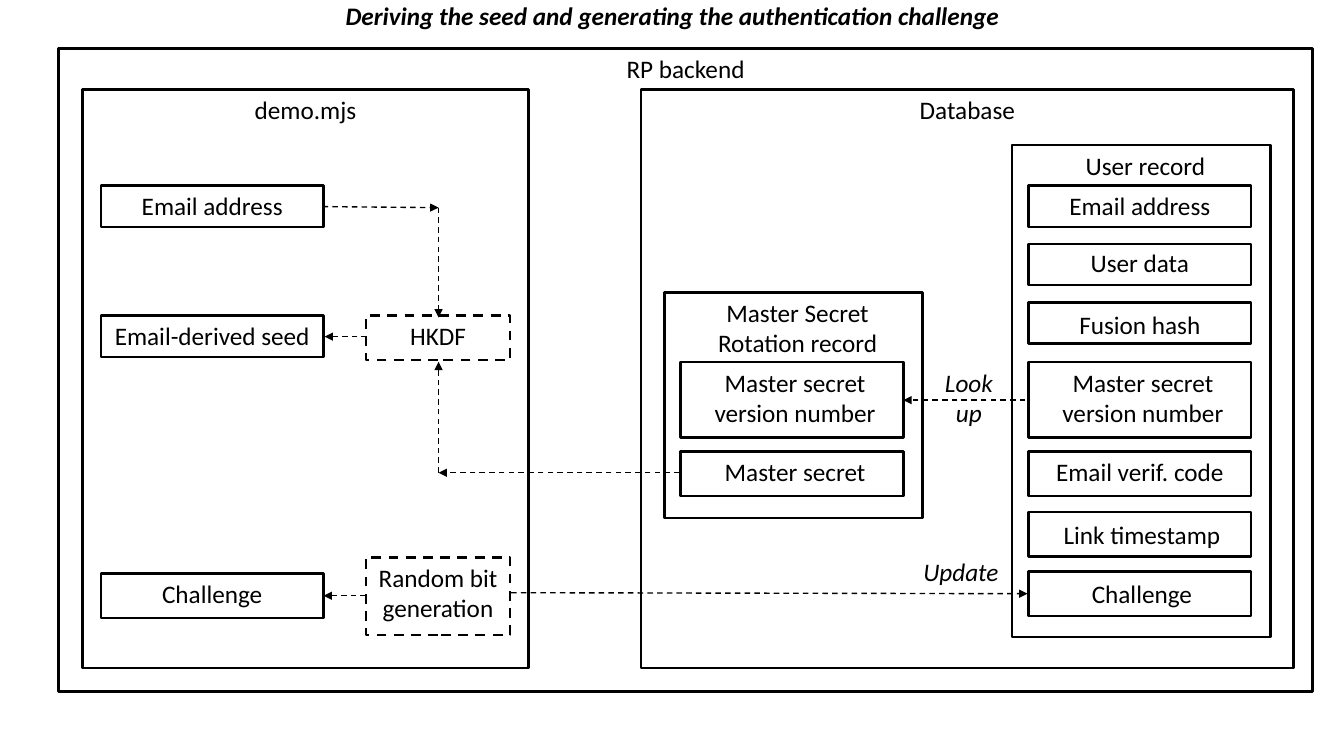
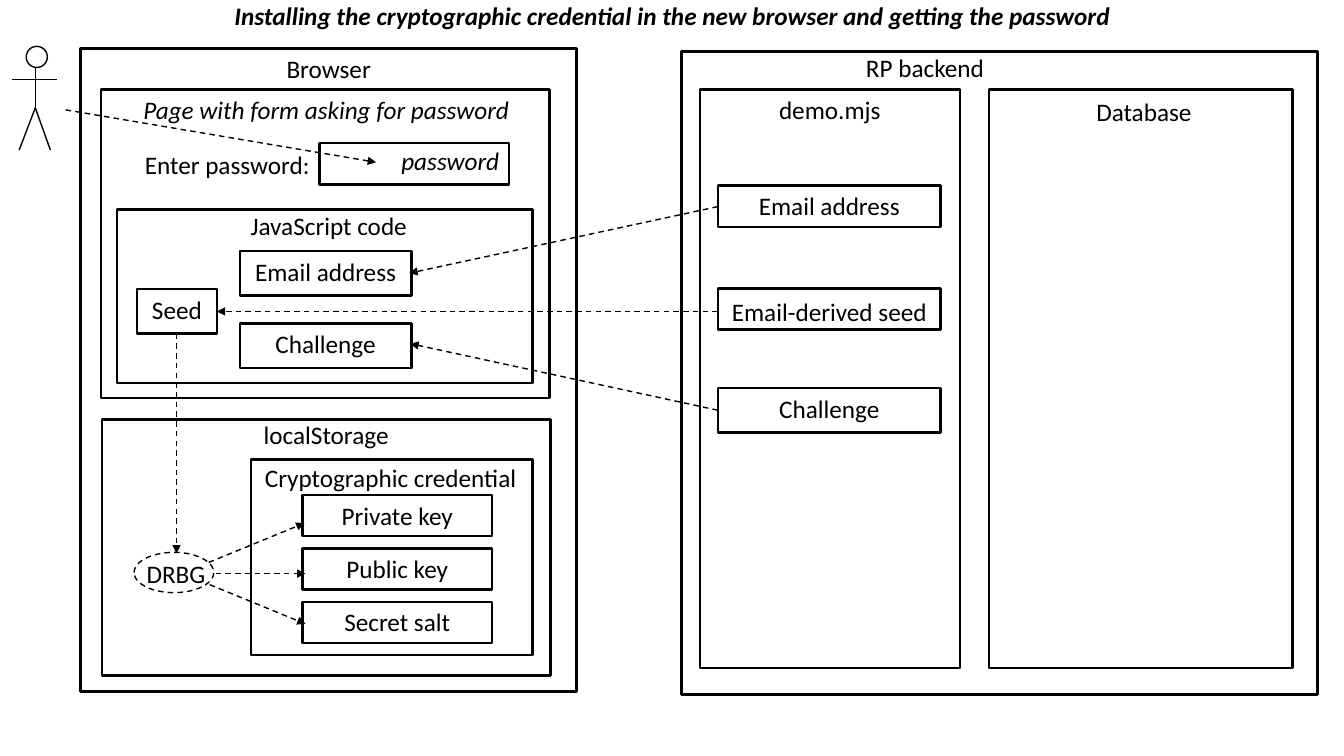
import dataclasses
import typing

import lxml.etree
import pptx
import pptx.dml.color
import pptx.enum.dml
import pptx.enum.shapes
import pptx.enum.text
import pptx.oxml.ns
import pptx.shapes.connector
import pptx.shapes.shapetree
import pptx.slide
import pptx.text.text
import pptx.util

Inches = pptx.util.Inches
Pt = pptx.util.Pt
ALIGN = pptx.enum.text.PP_ALIGN
ANCHOR = pptx.enum.text.MSO_ANCHOR
SHAPE = pptx.enum.shapes.MSO_SHAPE
DASH = pptx.enum.dml.MSO_LINE.DASH
qn = pptx.oxml.ns.qn

BLACK = pptx.dml.color.RGBColor(0x00, 0x00, 0x00)
WHITE = pptx.dml.color.RGBColor(0xFF, 0xFF, 0xFF)
FONT = "Calibri"
TEXT_SIZE = 18
BOX_LINE = 1.75
THIN_LINE = 1
SIDE_INSET = 0.1
TOP_INSET = 0.05

FIELD_WIDTH = 2.21
FIELD = 0.41
TALL_FIELD = 0.44
DOUBLE_FIELD = 0.75
PANEL_TOP = 0.89
PANEL_HEIGHT = 5.74
FRAME_HEIGHT = 6.38

Shapes = typing.Union[pptx.shapes.shapetree.SlideShapes,
                      pptx.shapes.shapetree.GroupShapes]


@dataclasses.dataclass(frozen=True)
class Box:
    """An outlined box; shift and drop move its label from top centre."""
    left: float
    top: float
    width: float
    height: float
    label: str
    shift: float = 0
    drop: float = 0
    italic: bool = False
    align: ALIGN = ALIGN.CENTER
    dashed: bool = False
    oval: bool = False


class Caption(typing.NamedTuple):
    left: float
    top: float
    width: float
    height: float
    label: str
    italic: bool = False
    align: ALIGN = ALIGN.CENTER


class Arrow(typing.NamedTuple):
    x1: float
    y1: float
    x2: float
    y2: float


class Diagram(typing.NamedTuple):
    title: str
    boxes: list[Box]
    captions: list[Caption]
    arrows: list[Arrow]


def write(frame: pptx.text.text.TextFrame, text: str, *, bold: bool = False,
          italic: bool = False, align: ALIGN = ALIGN.CENTER,
          anchor: ANCHOR = ANCHOR.TOP, spacing: float = 1.0,
          wrap: bool = True) -> None:
    frame.word_wrap = wrap
    frame.vertical_anchor = anchor
    paragraph = frame.paragraphs[0]
    paragraph.alignment = align
    paragraph.line_spacing = spacing
    run = paragraph.add_run()
    run.text = text
    run.font.name = FONT
    run.font.size = Pt(TEXT_SIZE)
    run.font.bold = bold
    run.font.italic = italic
    run.font.color.rgb = BLACK


def draw_title(shapes: Shapes, title: str) -> None:
    frame = shapes.add_textbox(Inches(0.92), Inches(0), Inches(11.5),
                               Inches(0.35)).text_frame
    frame.margin_top = frame.margin_bottom = 0
    write(frame, title, bold=True, italic=True, anchor=ANCHOR.MIDDLE,
          spacing=0.9)


def draw_box(shapes: Shapes, box: Box) -> None:
    outline = shapes.add_shape(
        SHAPE.OVAL if box.oval else SHAPE.RECTANGLE, Inches(box.left),
        Inches(box.top), Inches(box.width), Inches(box.height))
    outline.shadow.inherit = False
    outline.fill.background()
    outline.line.color.rgb = BLACK
    outline.line.width = Pt(THIN_LINE if box.oval else BOX_LINE)
    if box.dashed:
        outline.line.dash_style = DASH
    frame = outline.text_frame
    frame.margin_left = Inches(SIDE_INSET + max(0, 2 * box.shift))
    frame.margin_right = Inches(SIDE_INSET + max(0, -2 * box.shift))
    frame.margin_top = Inches(TOP_INSET + box.drop)
    frame.margin_bottom = 0
    write(frame, box.label, italic=box.italic, align=box.align,
          wrap=not box.oval)


def draw_caption(shapes: Shapes, caption: Caption) -> None:
    area = shapes.add_textbox(Inches(caption.left), Inches(caption.top),
                              Inches(caption.width), Inches(caption.height))
    write(area.text_frame, caption.label, italic=caption.italic,
          align=caption.align)


def draw_line(shapes: Shapes, x1: float, y1: float, x2: float,
              y2: float) -> pptx.shapes.connector.Connector:
    line = shapes.add_connector(
        pptx.enum.shapes.MSO_CONNECTOR.STRAIGHT,
        Inches(x1), Inches(y1), Inches(x2), Inches(y2))
    line.line.color.rgb = BLACK
    line.line.width = Pt(THIN_LINE)
    lxml.etree.SubElement(line._element.spPr, qn("a:effectLst"))
    return line


def draw_arrow(shapes: Shapes, arrow: Arrow) -> None:
    line = draw_line(shapes, *arrow)
    line.line.dash_style = DASH
    outline = line._element.spPr.find(qn("a:ln"))
    lxml.etree.SubElement(outline, qn("a:tailEnd"), type="triangle")


def draw_user(shapes: Shapes) -> None:
    """Draw the stick figure who enters the password."""
    figure = shapes.add_group_shape().shapes
    spine = 0.35
    for limb in ((spine, 0.63, spine, 1.08), (spine, 1.07, 0.19, 1.49),
                 (spine, 1.07, 0.5, 1.49), (0.12, 0.79, 0.57, 0.79)):
        draw_line(figure, *limb)
    head = figure.add_shape(SHAPE.OVAL, Inches(0.26), Inches(0.46),
                            Inches(0.21), Inches(0.21))
    head.shadow.inherit = False
    head.fill.solid()
    head.fill.fore_color.rgb = WHITE
    head.line.color.rgb = BLACK
    head.line.width = Pt(THIN_LINE)


def panel(left: float, width: float, label: str, **label_format) -> Box:
    """A full-height component inside a frame."""
    return Box(left, PANEL_TOP, width, PANEL_HEIGHT, label, **label_format)


def field(left: float, top: float, height: float, label: str,
          **label_format) -> Box:
    return Box(left, top, FIELD_WIDTH, height, label, **label_format)


def challenge_diagram() -> Diagram:
    server, rotation, user = 1, 6.75, 10.2
    hkdf_x = 4.35
    boxes = [
        Box(0.58, 0.48, 12.44, FRAME_HEIGHT, "RP backend"),
        panel(0.82, 4.42, "demo.mjs"),
        panel(6.36, 6.47, "Database"),
        field(server, 1.84, FIELD, "Email address"),
        field(server, 3.13, FIELD, "Email-derived seed"),
        field(server, 5.69, TALL_FIELD, "Challenge"),
        Box(3.63, 3.13, 1.43, 0.44, "HKDF", dashed=True),
        Box(3.63, 5.53, 1.43, 0.77, "Random bit generation", dashed=True),
        Box(6.59, 2.9, 2.56, 2.24, "Master Secret Rotation record",
            shift=0.04),
        field(rotation, 3.59, DOUBLE_FIELD, "Master secret version number",
              shift=0.03),
        field(rotation, 4.48, TALL_FIELD, "Master secret", shift=0.03),
        Box(10.04, 1.44, 2.56, 4.88, "User record", shift=0.04),
        field(user, 1.84, FIELD, "Email address"),
        field(user, 2.42, FIELD, "User data", drop=-0.02),
        field(user, 3, FIELD, "Fusion hash", drop=0.02),
        field(user, 3.59, DOUBLE_FIELD, "Master secret version number",
              shift=0.03),
        field(user, 4.48, TALL_FIELD, "Email verif. code"),
        field(user, 5.08, TALL_FIELD, "Link timestamp", shift=0.02,
              drop=0.02),
        field(user, 5.67, TALL_FIELD, "Challenge", shift=0.02, drop=0.02),
    ]
    captions = [
        Caption(9.2, 3.59, 0.82, 0.71, "Look up", italic=True),
        Caption(8.67, 5.47, 1.72, 0.4, "Update", italic=True),
    ]
    arrows = [
        Arrow(3.2, 2.05, hkdf_x, 2.06),
        Arrow(hkdf_x, 2.06, hkdf_x, 3.15),
        Arrow(6.74, 4.69, hkdf_x, 4.69),
        Arrow(hkdf_x, 4.69, hkdf_x, 3.59),
        Arrow(3.64, 3.34, 3.22, 3.34),
        Arrow(10.17, 3.97, 8.96, 3.97),
        Arrow(3.63, 5.91, 3.21, 5.91),
        Arrow(5.07, 5.88, 10.19, 5.89),
    ]
    return Diagram(
        "Deriving the seed and generating the authentication challenge",
        boxes, captions, arrows)


def credential_diagram() -> Diagram:
    server = 7.12
    key_top, key_step = 4.91, 0.53
    boxes = [
        Box(0.8, 0.48, 4.92, FRAME_HEIGHT, "Browser"),
        Box(1, 0.89, 4.45, 3.06, "Page with form asking for password",
            shift=0.01, italic=True),
        Box(3.17, 1.42, 1.88, 0.41, "password", drop=-0.03, italic=True,
            align=ALIGN.RIGHT),
        Box(1.16, 2.08, 4.12, 1.72, "JavaScript code", shift=0.04,
            drop=-0.04),
        Box(2.38, 2.49, 1.7, 0.44, "Email address"),
        Box(2.38, 3.21, 1.7, 0.44, "Challenge"),
        Box(1.36, 2.87, 0.79, 0.44, "Seed"),
        Box(1.01, 4.16, 4.45, 2.54, "localStorage", drop=-0.05),
        Box(1.33, 5.48, 0.79, 0.4, "DRBG", shift=0.02, drop=-0.05,
            dashed=True, oval=True),
        Box(2.49, 4.56, 2.79, 1.94, "Cryptographic credential",
            shift=-0.01, drop=-0.02),
        *(Box(3, key_top + row * key_step, 1.88, 0.41, label)
          for row, label in enumerate(
              ("Private key", "Public key", "Secret salt"))),
        Box(6.76, 0.51, 6.31, FRAME_HEIGHT, "RP backend", shift=-0.74,
            drop=-0.04),
        panel(6.94, 2.58, "demo.mjs"),
        panel(9.81, 3.01, "Database", shift=0.03, drop=0.02),
        field(server, 1.84, FIELD, "Email address"),
        field(server, 2.86, FIELD, "Email-derived seed", drop=0.03),
        field(server, 3.85, TALL_FIELD, "Challenge"),
    ]
    captions = [Caption(1.05, 1.43, 2.12, 0.4, "Enter password:",
                        align=ALIGN.RIGHT)]
    arrows = [
        Arrow(0.65, 1.09, 3.73, 1.61),
        Arrow(server, 2.05, 4.06, 2.71),
        Arrow(server, 3.09, 2.15, 3.09),
        Arrow(server, 4.07, 4.07, 3.41),
        Arrow(1.75, 3.31, 1.75, 5.49),
        Arrow(2.07, 5.58, 3.02, 5.19),
        Arrow(2.14, 5.69, 3.03, 5.69),
        Arrow(2.08, 5.8, 3.03, 6.19),
    ]
    return Diagram("Installing the cryptographic credential in the new "
                   "browser and getting the password",
                   boxes, captions, arrows)


def draw_diagram(slide: pptx.slide.Slide, diagram: Diagram) -> None:
    draw_title(slide.shapes, diagram.title)
    for box in diagram.boxes:
        draw_box(slide.shapes, box)
    for caption in diagram.captions:
        draw_caption(slide.shapes, caption)
    for arrow in diagram.arrows:
        draw_arrow(slide.shapes, arrow)


def main() -> None:
    deck = pptx.Presentation()
    deck.slide_width = Inches(13.33)
    deck.slide_height = Inches(7.5)
    blank = deck.slide_layouts[6]
    draw_diagram(deck.slides.add_slide(blank), challenge_diagram())
    credential = deck.slides.add_slide(blank)
    draw_diagram(credential, credential_diagram())
    draw_user(credential.shapes)
    deck.save("out.pptx")


if __name__ == "__main__":
    main()
